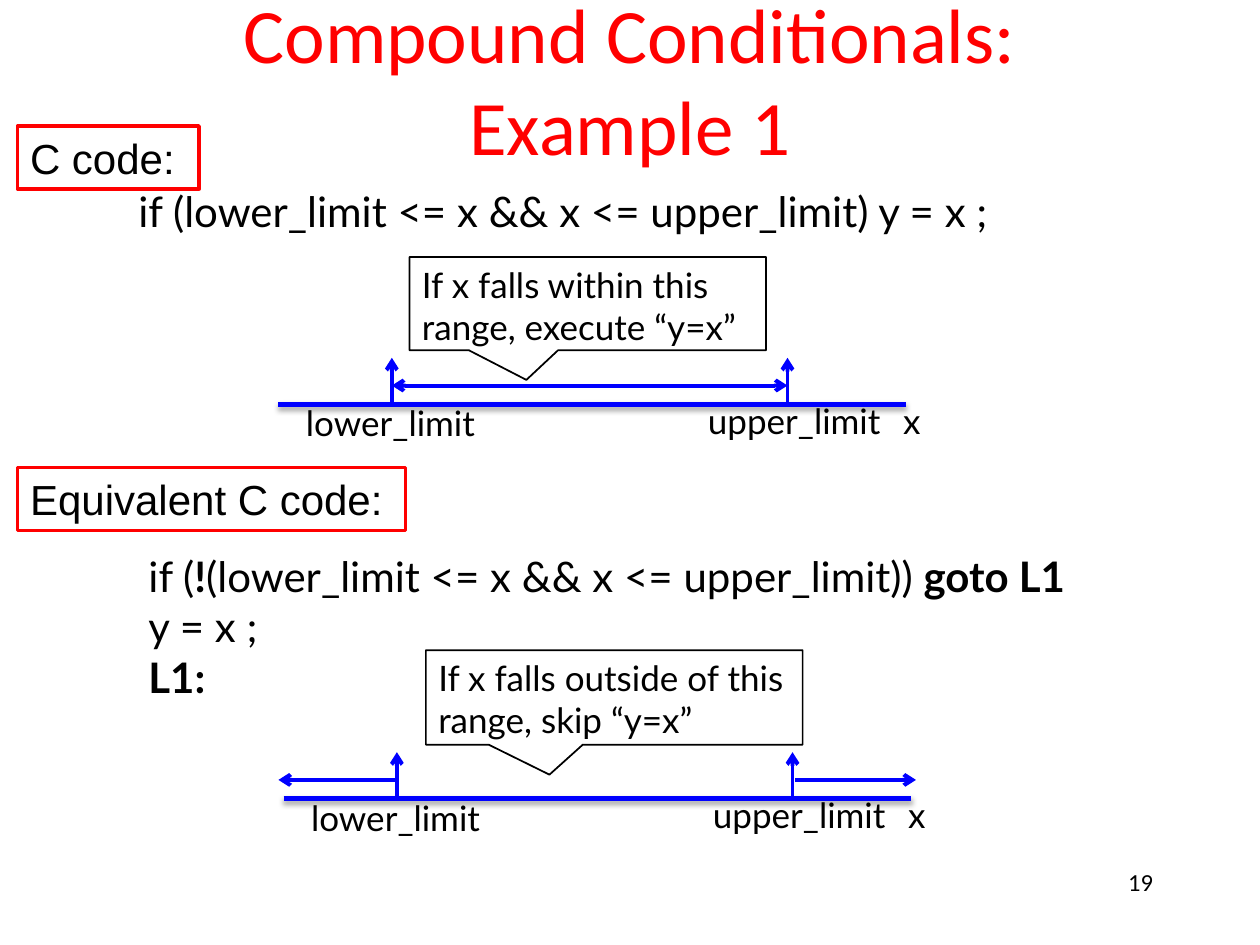
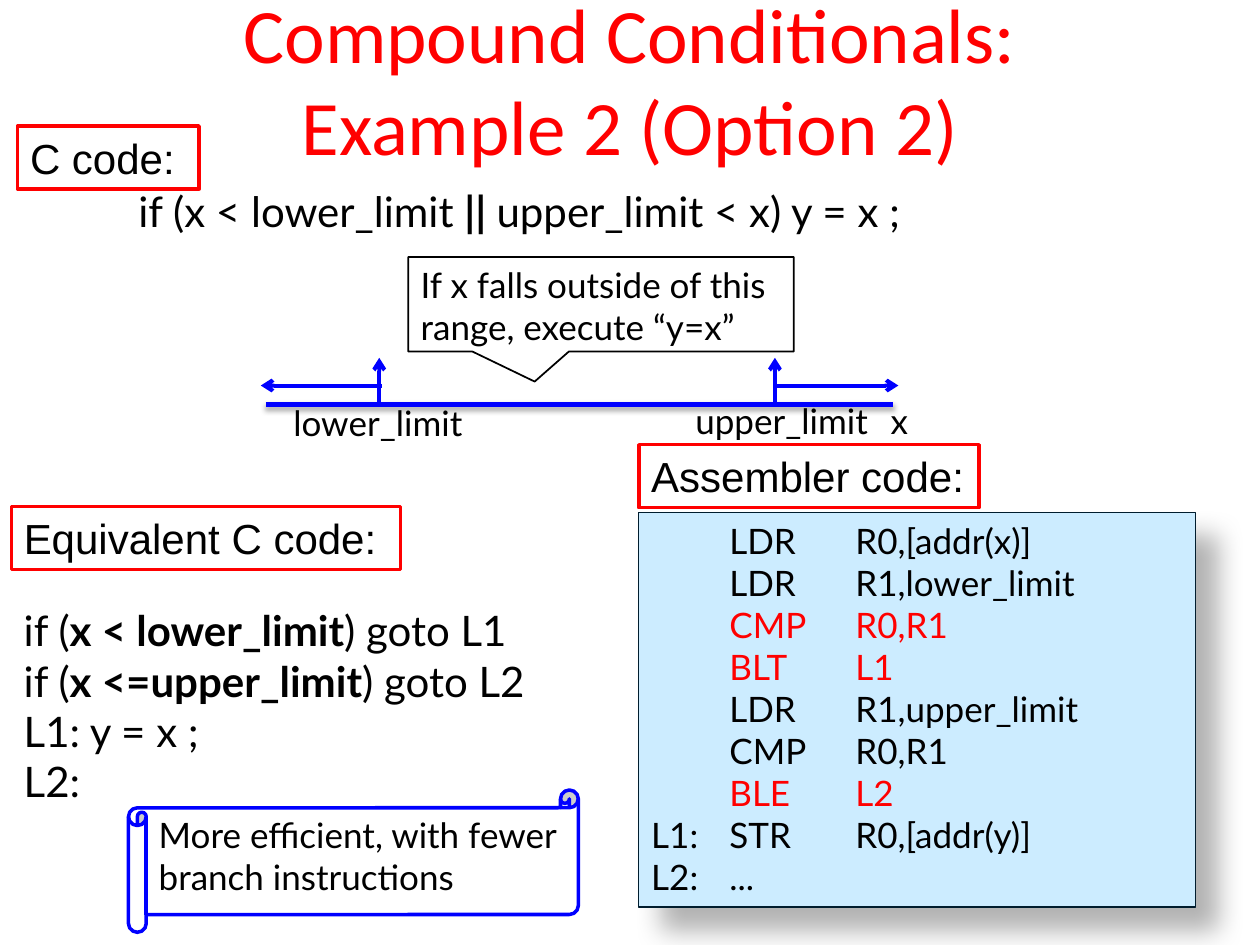
from dataclasses import dataclass
from lxml.etree import SubElement
from pptx import Presentation
from pptx.dml.color import RGBColor
from pptx.enum.shapes import MSO_CONNECTOR, MSO_SHAPE
from pptx.enum.text import MSO_ANCHOR, MSO_AUTO_SIZE, PP_ALIGN
from pptx.oxml.ns import qn
from pptx.util import Inches, Pt


@dataclass(frozen=True)
class Theme:
    red: str = "FF0000"
    blue: str = "0000FF"
    black: str = "000000"
    white: str = "FFFFFF"
    sky: str = "CCECFF"
    navy: str = "001D2E"
    head: str = "Calibri"
    body: str = "Lato"
    tag: str = "Arial"
    title: int = 44
    code: int = 24
    note: int = 20
    page: int = 14


@dataclass(frozen=True)
class Box:
    left: float
    top: float
    width: float
    height: float

    def place(self):
        return [Inches(n) for n in (self.left, self.top, self.width, self.height)]


@dataclass(frozen=True)
class Shade:
    alpha: int
    blur: float
    dist: float
    angle: int


THEME = Theme()
SOFT = Shade(35, 3.1, 1.8, 90)
DEEP = Shade(30, 15, 18, 45)
HEAD, TAIL = "a:headEnd", "a:tailEnd"


def rgb(code):
    return RGBColor.from_string(code)


def style(run, size, face, color=THEME.black):
    run.font.size = Pt(size)
    run.font.name = face
    run.font.color.rgb = rgb(color)


def write(frame, lines, size, face=THEME.body, mark=None, align=PP_ALIGN.LEFT):
    """Fill a frame; parts between asterisks get the mark colour, or bold."""
    frame.word_wrap = True
    frame.vertical_anchor = MSO_ANCHOR.TOP
    for i, line in enumerate(lines):
        para = frame.paragraphs[0] if i == 0 else frame.add_paragraph()
        para.alignment = align
        for j, part in enumerate(line.split("*")):
            if part:
                run = para.add_run()
                run.text = part
                style(run, size, face)
                if j % 2 and mark:
                    run.font.color.rgb = rgb(mark)
                elif j % 2:
                    run.font.bold = True


def tab(frame, *stops):
    for para in frame.paragraphs:
        tabs = SubElement(para._p.get_or_add_pPr(), qn("a:tabLst"))
        for stop in stops:
            SubElement(tabs, qn("a:tab"), pos=str(Inches(stop)), algn="l")


def cast(shape, shade=None):
    """Replace the theme shadow by the given one, or by none."""
    props = shape._element.spPr
    effects = props.find(qn("a:effectLst"))
    if effects is None:
        effects = SubElement(props, qn("a:effectLst"))
    if shade:
        outer = SubElement(effects, qn("a:outerShdw"), blurRad=str(Pt(shade.blur)),
                           dist=str(Pt(shade.dist)), dir=str(shade.angle * 60000),
                           algn="tl", rotWithShape="0")
        color = SubElement(outer, qn("a:srgbClr"), val=THEME.black)
        SubElement(color, qn("a:alpha"), val=str(shade.alpha * 1000))


def text(slide, box, lines, size, face=THEME.body, align=PP_ALIGN.LEFT):
    frame = slide.shapes.add_textbox(*box.place()).text_frame
    write(frame, lines, size, face, align=align)
    return frame


def panel(slide, kind, box, line, weight, fill=THEME.white):
    shape = slide.shapes.add_shape(kind, *box.place())
    shape.shadow.inherit = False
    shape.fill.solid()
    shape.fill.fore_color.rgb = rgb(fill)
    shape.line.color.rgb = rgb(line)
    shape.line.width = Pt(weight)
    return shape


def stroke(slide, start, end, weight=2.25, ends=(), shade=None):
    line = slide.shapes.add_connector(
        MSO_CONNECTOR.STRAIGHT, *[Inches(n) for n in (*start, *end)])
    line.line.color.rgb = rgb(THEME.blue)
    line.line.width = Pt(weight)
    for end_tag in ends:
        SubElement(line._element.spPr.find(qn("a:ln")), qn(end_tag), type="arrow")
    cast(line, shade)


def title(slide, words):
    shape = slide.shapes.title
    shape.left, shape.top, shape.width, shape.height = Box(0.75, 0, 8.5, 1.25).place()
    frame = shape.text_frame
    frame.text = words
    frame.word_wrap = True
    frame.auto_size = MSO_AUTO_SIZE.NONE
    frame.vertical_anchor = MSO_ANCHOR.MIDDLE
    para = frame.paragraphs[0]
    para.alignment = PP_ALIGN.CENTER
    style(para.runs[0], THEME.title, THEME.head, THEME.red)


def label(slide, words, left, top, width):
    shape = panel(slide, MSO_SHAPE.RECTANGLE, Box(left, top, width, 0.5), THEME.red, 2)
    write(shape.text_frame, [words], THEME.code, THEME.tag)


def callout(slide, box, words):
    shape = panel(slide, MSO_SHAPE.RECTANGULAR_CALLOUT, box, THEME.black, 1)
    shape.adjustments[0], shape.adjustments[1] = -0.172, 0.818
    write(shape.text_frame, [words], THEME.note)


def axis(slide, left, base, inside):
    """Number line with both limits; arrows span the range inside or outside."""
    low, high, reach = left + 0.9, left + 4.04, base - 0.15
    stroke(slide, (left, base), (left + 4.98, base), 3, shade=SOFT)
    for limit in (low, high):
        stroke(slide, (limit, base - 0.37), (limit, base - 0.02), ends=[HEAD])
    if inside:
        stroke(slide, (low, reach), (high, reach), ends=[HEAD, TAIL])
    else:
        stroke(slide, (low - 0.94, reach), (low + 0.02, reach), ends=[HEAD])
        stroke(slide, (high + 0.02, reach), (high + 0.98, reach), ends=[TAIL])
    for name, shift, drop, width in (("lower_limit", 0.12, 0.07, 1.55),
                                     ("upper_limit", 3.31, 0.09, 1.59),
                                     ("x", 4.86, 0.09, 0.34)):
        frame = text(slide, Box(left + shift, base - drop, width, 0.44), [name], THEME.note)
        frame.word_wrap = False
        frame.auto_size = MSO_AUTO_SIZE.SHAPE_TO_FIT_TEXT


def listing(slide, box, lines):
    shape = panel(slide, MSO_SHAPE.RECTANGLE, box, THEME.navy, 0.75, THEME.sky)
    cast(shape, DEEP)
    write(shape.text_frame, lines, THEME.note, mark=THEME.red)
    tab(shape.text_frame, 0.62, 1.62, 3.62)


def scroll(slide, box, words):
    shape = panel(slide, MSO_SHAPE.HORIZONTAL_SCROLL, box, THEME.blue, 2)
    write(shape.text_frame, [words], THEME.note)


def source(slide, box, lines):
    """C code, indented by one-inch tabs."""
    tab(text(slide, box, lines, THEME.code), 1)


def start(deck, words, code):
    """Add a slide with its title and the C code under test."""
    slide = deck.slides.add_slide(deck.slide_layouts[5])
    title(slide, words)
    source(slide, Box(0, 1.42, 10, 0.5), [code])
    label(slide, "C code:", 0.14, 1, 1.44)
    return slide


def within(deck):
    slide = start(deck, "Compound Conditionals: Example 1",
                  "\tif (lower_limit <= x && x <= upper_limit) y = x ;")
    source(slide, Box(0.08, 4.32, 10, 1.31),
           ["\tif (*!*(lower_limit <= x && x <= upper_limit)) *goto L1*",
            "\ty = x ;", "\t*L1:*"])
    axis(slide, 2.21, 3.21, inside=True)
    callout(slide, Box(3.25, 2.04, 2.83, 0.74),
            "If x falls within this range, execute “y=x”")
    axis(slide, 2.25, 6.34, inside=False)
    callout(slide, Box(3.38, 5.16, 2.99, 0.75),
            "If x falls outside of this range, skip “y=x”")
    label(slide, "Equivalent C code:", 0.14, 3.71, 3.08)
    text(slide, Box(7.17, 6.83, 2.08, 0.5), ["19"], THEME.page, THEME.head, PP_ALIGN.RIGHT)


def outside(deck):
    slide = start(deck, "Compound Conditionals: Example 2 (Option 2)",
                  "\tif (x < lower_limit *|| *upper_limit < x) y = x ;")
    axis(slide, 2.11, 3.21, inside=False)
    callout(slide, Box(3.24, 2.04, 3.06, 0.75),
            "If x falls outside of this range, execute “y=x”")
    source(slide, Box(0.09, 4.75, 10, 1.72),
           ["if (*x < lower_limit*) goto L1", "if (*x <=upper_limit*) goto L2",
            "L1: y = x ;", "L2:"])
    label(slide, "Equivalent C code:", 0.09, 4.02, 3.09)
    label(slide, "Assembler code:", 5.07, 3.53, 2.7)
    listing(slide, Box(5.07, 4.07, 4.42, 3.13),
            ["\tLDR\tR0,[addr(x)]", "\tLDR\tR1,lower_limit", "\t*CMP\tR0,R1*",
             "\t*BLT\tL1*", "\tLDR\tR1,upper_limit", "\tCMP\tR0,R1", "\t*BLE\tL2*",
             "L1:\tSTR\tR0,[addr(y)]", "L2:\t..."])
    scroll(slide, Box(1.02, 6.27, 3.57, 1.13),
           "More efficient, with fewer branch instructions")


def main():
    deck = Presentation()
    deck.slide_width, deck.slide_height = Inches(10), Inches(7.5)
    within(deck)
    outside(deck)
    deck.save("out.pptx")


if __name__ == "__main__":
    main()
